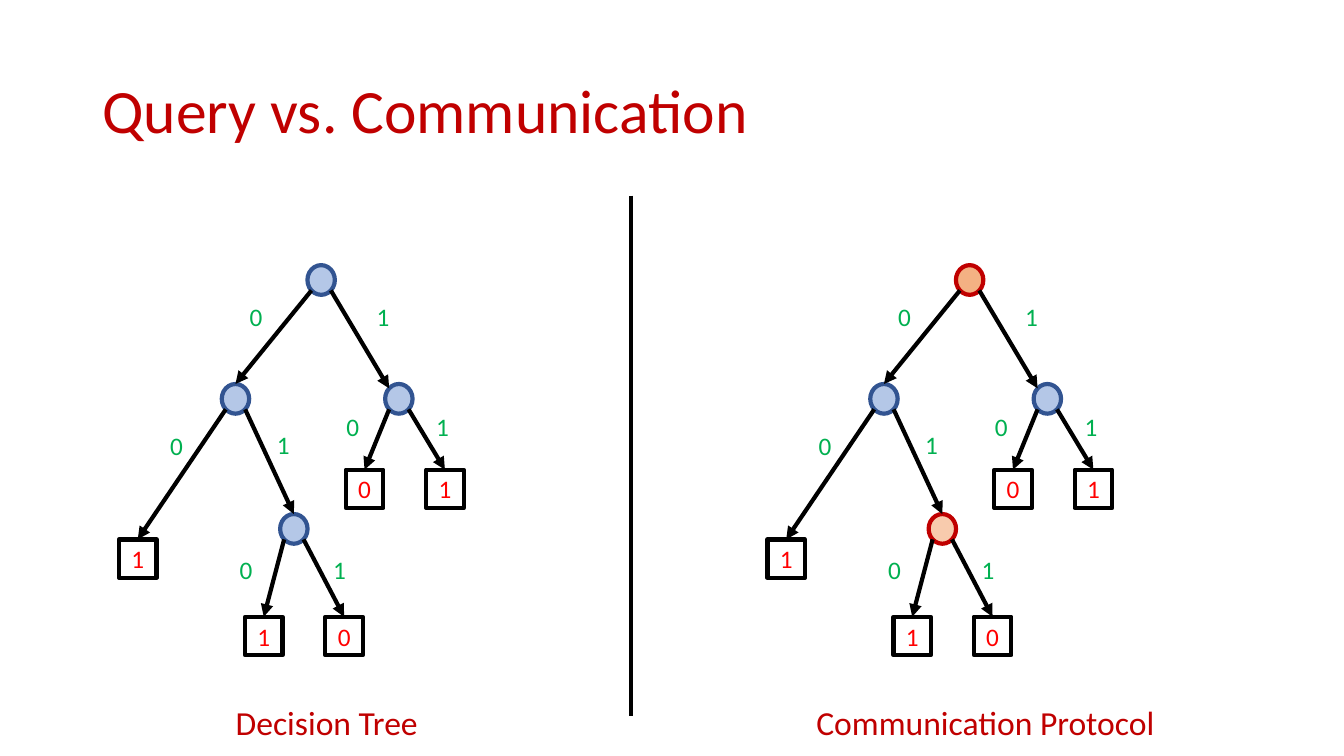
from math import sqrt

from lxml import etree
from pptx import Presentation
from pptx.dml.color import RGBColor
from pptx.enum.shapes import MSO_CONNECTOR, MSO_SHAPE
from pptx.enum.text import MSO_ANCHOR, PP_ALIGN
from pptx.oxml.ns import qn
from pptx.util import Pt

STRAIGHT = MSO_CONNECTOR.STRAIGHT
OVAL, RECTANGLE = MSO_SHAPE.OVAL, MSO_SHAPE.RECTANGLE
TOP, MIDDLE = MSO_ANCHOR.TOP, MSO_ANCHOR.MIDDLE
LEFT, CENTER = PP_ALIGN.LEFT, PP_ALIGN.CENTER

BLACK, DARK_RED, RED, GREEN = "000000", "C00000", "FF0000", "00B050"
BLUE_NODE = ("B4C7E7", "325491")
ROOT_RED_NODE = ("F4B183", DARK_RED)
LOW_RED_NODE = ("F8CBAD", DARK_RED)

NODE_W, NODE_H = 19.6, 21.2
LEAF_W, LEAF_H = 26.8, 27.4
LABEL_SIZE = 28.8
DIAGONAL = 1 / sqrt(8)
TREE_SHIFT = 463.2

NODES = {
    "root": (229.4, 200),
    "left": (168.2, 284.9),
    "right": (284.9, 284.9),
    "low": (209.9, 377.8),
}
LEAVES = {
    "left leaf": (98.4, 399, "1"),
    "right leaf 0": (260.4, 349.2, "0"),
    "right leaf 1": (317.8, 349.2, "1"),
    "low leaf 0": (188.4, 454.3, "1"),
    "low leaf 1": (245.8, 454.3, "0"),
}
EDGES = [
    ("root", "left", "0", 182.9, 226),
    ("root", "right", "1", 273.6, 226),
    ("left", "left leaf", "0", 126.2, 318),
    ("left", "low", "1", 202.3, 317.5),
    ("right", "right leaf 0", "0", 252, 304.6),
    ("right", "right leaf 1", "1", 316.1, 304.6),
    ("low", "low leaf 0", "0", 175.7, 406.8),
    ("low", "low leaf 1", "1", 242.6, 406.8),
]


def rgb(color):
    return RGBColor.from_string(color)


def write(shape, text, size=18, color=BLACK, align=LEFT, anchor=TOP, spacing=None, inset=None):
    frame = shape.text_frame
    frame.word_wrap = True
    frame.vertical_anchor = anchor
    if inset is not None:
        frame.margin_left = frame.margin_right = Pt(inset)
        frame.margin_top = frame.margin_bottom = Pt(inset)
    paragraph = frame.paragraphs[0]
    paragraph.text = text
    paragraph.alignment = align
    paragraph.line_spacing = spacing
    paragraph.font.name = "Calibri"
    paragraph.font.size = Pt(size)
    paragraph.font.color.rgb = rgb(color)


def place(shape, left, top, width, height):
    shape.left, shape.top = Pt(left), Pt(top)
    shape.width, shape.height = Pt(width), Pt(height)


def add_title(slide, text):
    title = slide.shapes.title
    place(title, 66, 28.8, 828, 104.4)
    write(title, text, size=44, color=DARK_RED, anchor=MIDDLE, spacing=0.9)


def add_text(slide, text, left, top, width, height, **text_format):
    box = slide.shapes.add_textbox(Pt(left), Pt(top), Pt(width), Pt(height))
    write(box, text, **text_format)


def add_outlined(slide, preset, x, y, width, height, outline):
    shape = slide.shapes.add_shape(
        preset, Pt(x - width / 2), Pt(y - height / 2), Pt(width), Pt(height))
    shape.shadow.inherit = False
    shape.line.color.rgb = rgb(outline)
    shape.line.width = Pt(3)
    return shape


def add_node(slide, x, y, fill, outline):
    node = add_outlined(slide, OVAL, x, y, NODE_W, NODE_H, outline)
    node.fill.solid()
    node.fill.fore_color.rgb = rgb(fill)


def add_leaf(slide, x, y, value):
    leaf = add_outlined(slide, RECTANGLE, x, y, LEAF_W, LEAF_H, BLACK)
    leaf.fill.background()
    write(leaf, value, color=RED, align=CENTER, anchor=MIDDLE, inset=0)


def add_line(slide, x1, y1, x2, y2, arrow=False):
    connector = slide.shapes.add_connector(STRAIGHT, Pt(x1), Pt(y1), Pt(x2), Pt(y2))
    connector.line.color.rgb = rgb(BLACK)
    connector.line.width = Pt(3)
    if arrow:
        etree.SubElement(connector.line._get_or_add_ln(), qn("a:tailEnd"), type="triangle")
    etree.SubElement(connector._element.spPr, qn("a:effectLst"))


def add_edge(slide, shift, parent, child, bit, label_x, label_y):
    side = -1 if bit == "0" else 1
    x1, y1 = NODES[parent]
    if child in LEAVES:
        x2, y2, _ = LEAVES[child]
        y2 -= LEAF_H / 2
    else:
        x2, y2 = NODES[child]
        if child == "right":
            x2 -= NODE_W * DIAGONAL
            y2 -= NODE_H * DIAGONAL
        else:
            y2 -= NODE_H / 2
    add_line(slide, x1 + side * NODE_W * DIAGONAL + shift, y1 + NODE_H * DIAGONAL,
             x2 + shift, y2, arrow=True)
    add_text(slide, bit, label_x - LABEL_SIZE / 2 + shift, label_y - LABEL_SIZE / 2,
             LABEL_SIZE, LABEL_SIZE, color=GREEN, align=CENTER)


def add_tree(slide, shift, special_nodes):
    for role, (x, y) in NODES.items():
        add_node(slide, x + shift, y, *special_nodes.get(role, BLUE_NODE))
    for x, y, value in LEAVES.values():
        add_leaf(slide, x + shift, y, value)
    for edge in EDGES:
        add_edge(slide, shift, *edge)


def main():
    deck = Presentation()
    deck.slide_width, deck.slide_height = Pt(960), Pt(540)
    slide = deck.slides.add_slide(deck.slide_layouts[5])
    add_title(slide, "Query vs. Communication")
    add_tree(slide, 0, {})
    add_tree(slide, TREE_SHIFT, {"root": ROOT_RED_NODE, "low": LOW_RED_NODE})
    add_line(slide, 450.7, 139.7, 450.7, 511.2)
    add_text(slide, "Communication Protocol", 576, 498.2, 309, 36, size=24, color=DARK_RED)
    add_text(slide, "Decision Tree", 161.3, 498.2, 155, 36, size=24, color=DARK_RED)
    deck.save("out.pptx")


if __name__ == "__main__":
    main()
